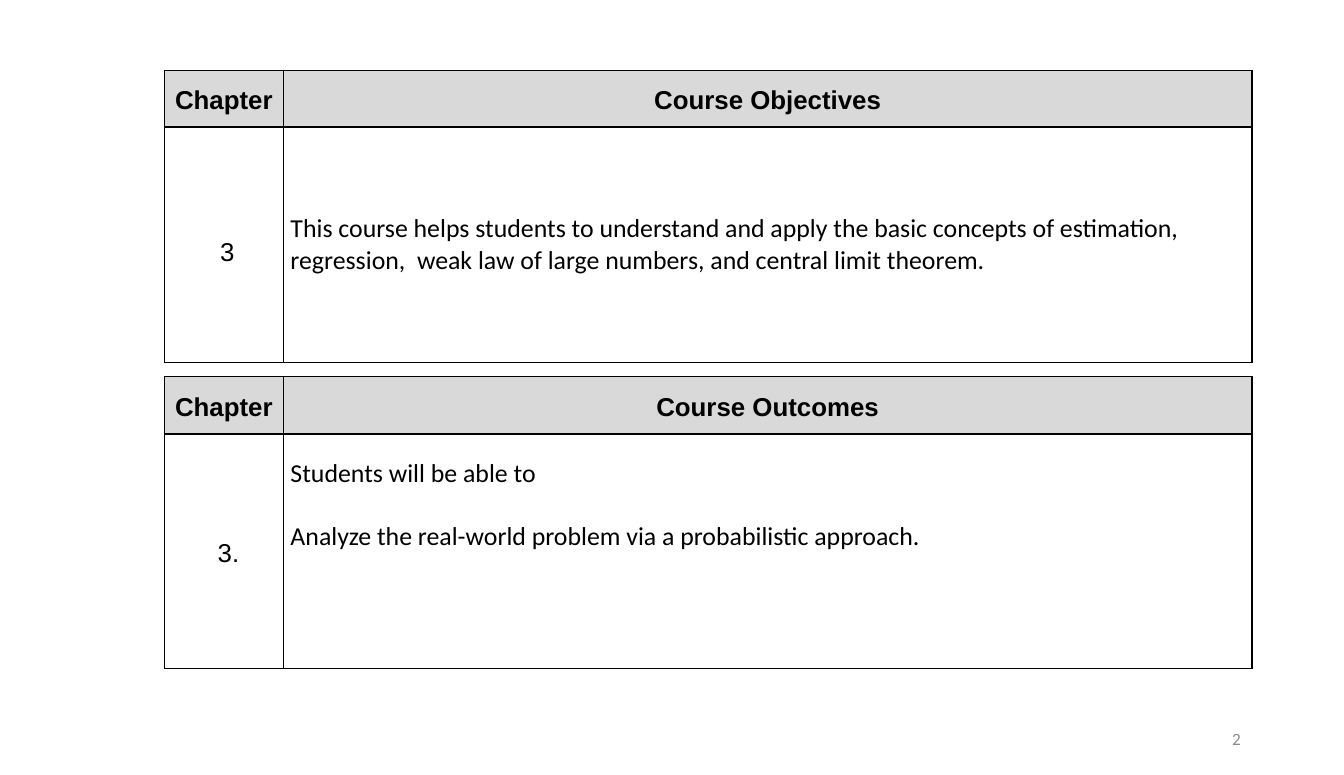
from lxml import etree
from pptx import Presentation
from pptx.dml.color import RGBColor
from pptx.enum.text import MSO_ANCHOR, PP_ALIGN
from pptx.oxml.ns import qn
from pptx.util import Inches, Pt

CENTER, JUSTIFY, LEFT, RIGHT = PP_ALIGN.CENTER, PP_ALIGN.JUSTIFY, PP_ALIGN.LEFT, PP_ALIGN.RIGHT
MIDDLE, TOP = MSO_ANCHOR.MIDDLE, MSO_ANCHOR.TOP
BLACK, HEADER_GRAY, NUMBER_GRAY = "000000", "D9D9D9", "8C8C8C"
CHAPTER_WIDTH = 1.15


def color(hex_value):
    """Return the colour for a hex string."""
    return RGBColor.from_string(hex_value)


def format_paragraph(paragraph, text, alignment, font_name, size=18, bold=False, hex_value=BLACK):
    """Write text into a paragraph with its alignment and font."""
    paragraph.text = text
    paragraph.alignment = alignment
    font = paragraph.font
    font.name, font.size, font.bold = font_name, Pt(size), bold
    font.color.rgb = color(hex_value)


def add_borders(cell):
    """Draw a one-point black line on every side of a cell."""
    properties = cell._tc.get_or_add_tcPr()
    for side in ("a:lnL", "a:lnR", "a:lnT", "a:lnB"):
        line = etree.SubElement(properties, qn(side), w=str(Pt(1)))
        fill = etree.SubElement(line, qn("a:solidFill"))
        etree.SubElement(fill, qn("a:srgbClr"), val=BLACK)


def prepare_cell(cell, anchor=MIDDLE, fill=None, top=0):
    """Set the borders, margins, anchor and fill of a cell."""
    add_borders(cell)
    cell.margin_left = cell.margin_right = Inches(0.07)
    cell.margin_top, cell.margin_bottom = Inches(top), 0
    cell.vertical_anchor = anchor
    if fill:
        cell.fill.solid()
        cell.fill.fore_color.rgb = color(fill)
    else:
        cell.fill.background()


def add_course_table(slide, left, top, width, row_heights, title, chapter, chapter_style,
                     statements, alignment=LEFT, anchor=MIDDLE, body_top=0):
    """Add a table with a header row and one chapter row."""
    frame = slide.shapes.add_table(2, 2, Inches(left), Inches(top), Inches(width),
                                   Inches(sum(row_heights)))
    table = frame.table
    for column, column_width in zip(table.columns, (CHAPTER_WIDTH, width - CHAPTER_WIDTH)):
        column.width = Inches(column_width)
    for row, height in zip(table.rows, row_heights):
        row.height = Inches(height)

    for cell, heading in zip(table.rows[0].cells, ("Chapter", title)):
        prepare_cell(cell, fill=HEADER_GRAY)
        paragraph = cell.text_frame.paragraphs[0]
        format_paragraph(paragraph, heading, CENTER, "Arial", bold=True)
        paragraph.line_spacing, paragraph.space_after = 1.15, Pt(10)

    chapter_cell, body_cell = table.rows[1].cells
    prepare_cell(chapter_cell)
    paragraph = chapter_cell.text_frame.paragraphs[0]
    format_paragraph(paragraph, chapter, CENTER, "Arial")
    margin, indent, line_spacing, space_after = chapter_style
    properties = paragraph._p.get_or_add_pPr()
    properties.set("marL", str(Inches(margin)))
    properties.set("indent", str(Inches(indent)))
    paragraph.line_spacing, paragraph.space_after = line_spacing, Pt(space_after)

    prepare_cell(body_cell, anchor, top=body_top)
    text_frame = body_cell.text_frame
    for index, statement in enumerate(statements):
        paragraph = text_frame.add_paragraph() if index else text_frame.paragraphs[0]
        format_paragraph(paragraph, statement, alignment, "Calibri")
        if index:
            paragraph.space_before = Pt(22)


def add_slide_number(slide, left, top, width, height, number):
    """Add the slide number at the right of its box."""
    shape = slide.shapes.add_textbox(Inches(left), Inches(top), Inches(width), Inches(height))
    text_frame = shape.text_frame
    text_frame.word_wrap = True
    text_frame.vertical_anchor = MIDDLE
    format_paragraph(text_frame.paragraphs[0], number, RIGHT, "Calibri", 12, hex_value=NUMBER_GRAY)


def main():
    """Build and save the course slide."""
    presentation = Presentation()
    presentation.slide_width, presentation.slide_height = Inches(13), Inches(7.5)
    slide = presentation.slides.add_slide(presentation.slide_layouts[6])
    left, width = 1.59, 10.52
    add_slide_number(slide, 9.18, 6.95, 2.92, 0.4, "2")
    add_course_table(
        slide, left, 0.68, width, (0.55, 2.28), "Course Objectives", " 3", (0.38, -0.38, 1.5, 0),
        ["This course helps students to understand and apply the basic concepts of estimation, "
         "regression,  weak law of large numbers, and central limit theorem."])
    add_course_table(
        slide, left, 3.64, width, (0.56, 2.27), "Course Outcomes", "3.", (0.37, -0.28, 1.15, 10),
        ["Students will be able to",
         "Analyze the real-world problem via a probabilistic approach."],
        JUSTIFY, TOP, 0.23)
    presentation.save("out.pptx")


if __name__ == "__main__":
    main()
